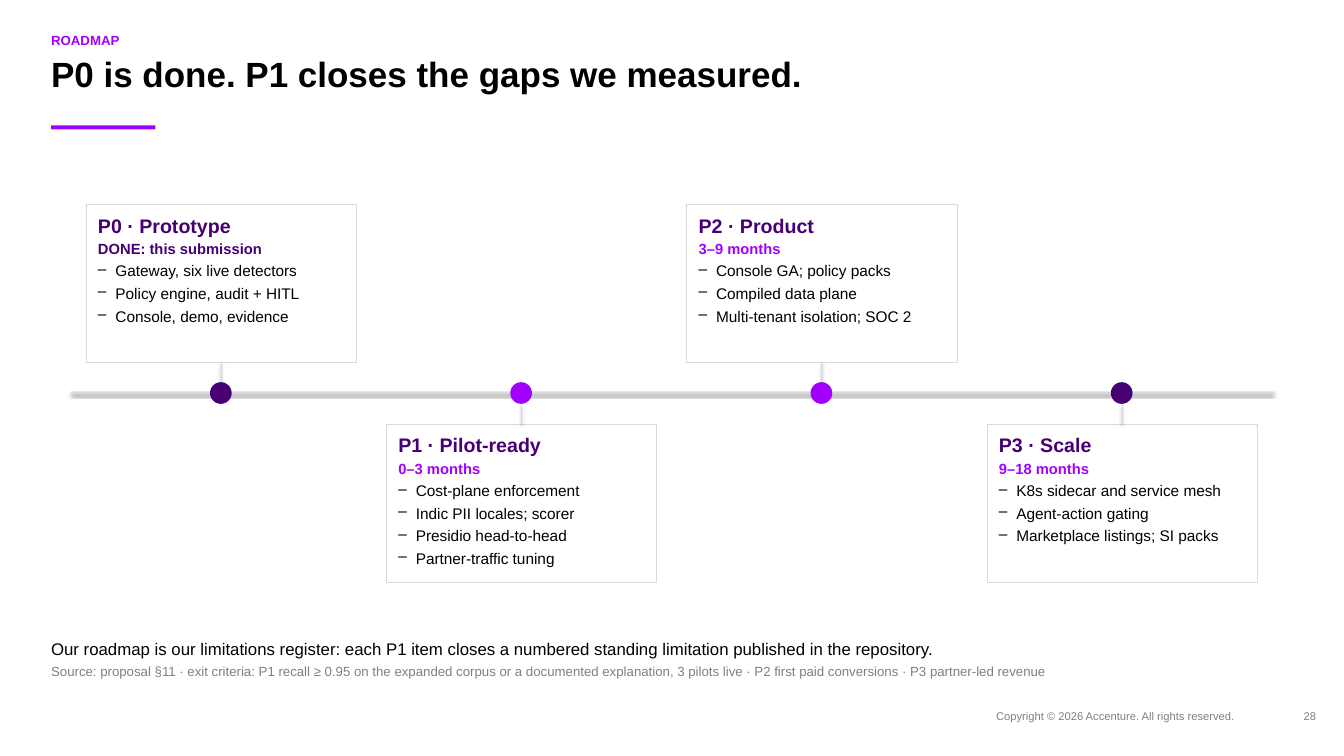
from dataclasses import dataclass

from lxml import etree
from pptx import Presentation
from pptx.dml.color import RGBColor
from pptx.enum.shapes import MSO_CONNECTOR, MSO_SHAPE
from pptx.enum.text import MSO_ANCHOR, MSO_AUTO_SIZE, PP_ALIGN
from pptx.oxml.ns import qn
from pptx.util import Pt

EMU_PER_PX = 9525
LEFT, RIGHT = PP_ALIGN.LEFT, PP_ALIGN.RIGHT
TOP_ANCHOR = MSO_ANCHOR.TOP
GROW = MSO_AUTO_SIZE.SHAPE_TO_FIT_TEXT
RECTANGLE, OVAL = MSO_SHAPE.RECTANGLE, MSO_SHAPE.OVAL
STRAIGHT = MSO_CONNECTOR.STRAIGHT
TOP_SIDE, BOTTOM_SIDE = 0, 2


@dataclass(frozen=True)
class Theme:
    font: str = "Arial"
    accent: str = "A100FF"
    dark: str = "460073"
    ink: str = "000000"
    muted: str = "808080"
    rule: str = "D9D9D9"
    paper: str = "FFFFFF"
    title: float = 37.5
    phase: float = 21
    takeaway: float = 18
    item: float = 16.5
    timing: float = 15.8
    label: float = 14.2
    footer: float = 12


THEME = Theme()


def px(length):
    return length * EMU_PER_PX


def rgb(color):
    return RGBColor.from_string(color)


def write(paragraph, text, *, size, color=THEME.ink, bold=False, align=LEFT,
          before=None, spacing=None, hanging=None):
    if hanging:
        properties = paragraph._p.get_or_add_pPr()
        properties.set("marL", str(px(hanging)))
        properties.set("indent", str(-px(hanging)))
        etree.SubElement(properties, qn("a:buChar")).set("char", "–")
    paragraph.alignment = align
    if before is not None:
        paragraph.space_before = Pt(before)
    if spacing is not None:
        paragraph.line_spacing = spacing
    run = paragraph.add_run()
    run.text = text
    run.font.name = THEME.font
    run.font.size = Pt(size)
    run.font.bold = bold
    run.font.color.rgb = rgb(color)


class SlideBuilder:
    def __init__(self, slide, theme):
        self.slide = slide
        self.theme = theme

    def frame(self, holder, insets=(0, 0, 0, 0)):
        frame = holder.text_frame
        frame.word_wrap = True
        frame.vertical_anchor = TOP_ANCHOR
        (frame.margin_left, frame.margin_top,
         frame.margin_right, frame.margin_bottom) = map(px, insets)
        return frame

    def title(self, text, left, top, width, height):
        title = self.slide.shapes.title
        title.left, title.top = px(left), px(top)
        title.width, title.height = px(width), px(height)
        frame = self.frame(title)
        frame.auto_size = GROW
        write(frame.paragraphs[0], text, size=self.theme.title, bold=True,
              spacing=0.95)

    def text(self, text, left, top, width, height, **style):
        box = self.slide.shapes.add_textbox(px(left), px(top), px(width), px(height))
        frame = self.frame(box)
        frame.auto_size = GROW
        write(frame.paragraphs[0], text, **style)

    def shape(self, kind, left, top, width, height, fill, outline=None):
        shape = self.slide.shapes.add_shape(
            kind, px(left), px(top), px(width), px(height))
        shape.shadow.inherit = False
        shape.fill.solid()
        shape.fill.fore_color.rgb = rgb(fill)
        if outline:
            shape.line.color.rgb = rgb(outline)
            shape.line.width = Pt(0.75)
        else:
            shape.line.fill.background()
        return shape

    def line(self, x1, y1, x2, y2, weight):
        line = self.slide.shapes.add_connector(STRAIGHT, px(x1), px(y1), px(x2), px(y2))
        line.line.color.rgb = rgb(self.theme.rule)
        line.line.width = Pt(weight)
        return line

    def card(self, left, top, width, height, phase, timing, timing_color, items):
        theme = self.theme
        card = self.shape(RECTANGLE, left, top, width, height, theme.paper, theme.rule)
        frame = self.frame(card, (17, 13, 17, 6))
        write(frame.paragraphs[0], phase, size=theme.phase, color=theme.dark, bold=True)
        write(frame.add_paragraph(), timing, size=theme.timing, color=timing_color,
              bold=True, before=3)
        for item in items:
            write(frame.add_paragraph(), item, size=theme.item, before=4,
                  spacing=1.02, hanging=25)
        return card


MARGIN, CONTENT_WIDTH = 73, 1774
AXIS_START, AXIS_END, AXIS_Y = 102, 1818, 562
CARD_WIDTH, CARD_HEIGHT = 386, 226
UPPER_TOP, LOWER_TOP = 292, 606
DOT, STEM_GAP = 31, 17

PHASES = [
    ("P0 · Prototype", "DONE: this submission", THEME.dark, THEME.dark,
     ["Gateway, six live detectors", "Policy engine, audit + HITL",
      "Console, demo, evidence"]),
    ("P1 · Pilot-ready", "0–3 months", THEME.accent, THEME.accent,
     ["Cost-plane enforcement", "Indic PII locales; scorer",
      "Presidio head-to-head", "Partner-traffic tuning"]),
    ("P2 · Product", "3–9 months", THEME.accent, THEME.accent,
     ["Console GA; policy packs", "Compiled data plane",
      "Multi-tenant isolation; SOC 2"]),
    ("P3 · Scale", "9–18 months", THEME.accent, THEME.dark,
     ["K8s sidecar and service mesh", "Agent-action gating",
      "Marketplace listings; SI packs"]),
]


def add_timeline(builder):
    builder.line(AXIS_START, AXIS_Y, AXIS_END, AXIS_Y, 2)
    step = (AXIS_END - AXIS_START) // len(PHASES)
    for index, (phase, timing, timing_color, dot_color, items) in enumerate(PHASES):
        center = AXIS_START + step // 2 + index * step
        above = index % 2 == 0
        card_top = UPPER_TOP if above else LOWER_TOP
        stem_start = card_top + CARD_HEIGHT if above else card_top
        stem_end = AXIS_Y - STEM_GAP if above else AXIS_Y + STEM_GAP
        builder.shape(OVAL, center - 16, AXIS_Y - 16, DOT, DOT, dot_color)
        card = builder.card(center - CARD_WIDTH // 2, card_top, CARD_WIDTH, CARD_HEIGHT,
                            phase, timing, timing_color, items)
        stem = builder.line(center, stem_start, center, stem_end, 1)
        stem.begin_connect(card, BOTTOM_SIDE if above else TOP_SIDE)


def main():
    deck = Presentation()
    deck.slide_width, deck.slide_height = px(1920), px(1080)
    builder = SlideBuilder(deck.slides.add_slide(deck.slide_layouts[5]), THEME)

    builder.text("ROADMAP", MARGIN, 46, CONTENT_WIDTH, 29,
                 size=THEME.label, color=THEME.accent, bold=True)
    builder.title("P0 is done. P1 closes the gaps we measured.",
                  MARGIN, 79, CONTENT_WIDTH, 91)
    builder.shape(RECTANGLE, MARGIN, 179, 149, 6, THEME.accent)
    add_timeline(builder)
    builder.text("Our roadmap is our limitations register: each P1 item closes a "
                 "numbered standing limitation published in the repository.",
                 MARGIN, 912, CONTENT_WIDTH, 38, size=THEME.takeaway)
    builder.text("Source: proposal §11 · exit criteria: P1 recall ≥ 0.95 on the "
                 "expanded corpus or a documented explanation, 3 pilots live · "
                 "P2 first paid conversions · P3 partner-led revenue",
                 MARGIN, 947, CONTENT_WIDTH, 29, size=THEME.label, color=THEME.muted)
    builder.text("Copyright © 2026 Accenture. All rights reserved.",
                 1423, 1013, 377, 23, size=THEME.footer, color=THEME.muted)
    builder.text("28", 1822, 1013, 58, 23, size=THEME.footer, color=THEME.muted,
                 align=RIGHT)
    deck.save("out.pptx")


if __name__ == "__main__":
    main()
